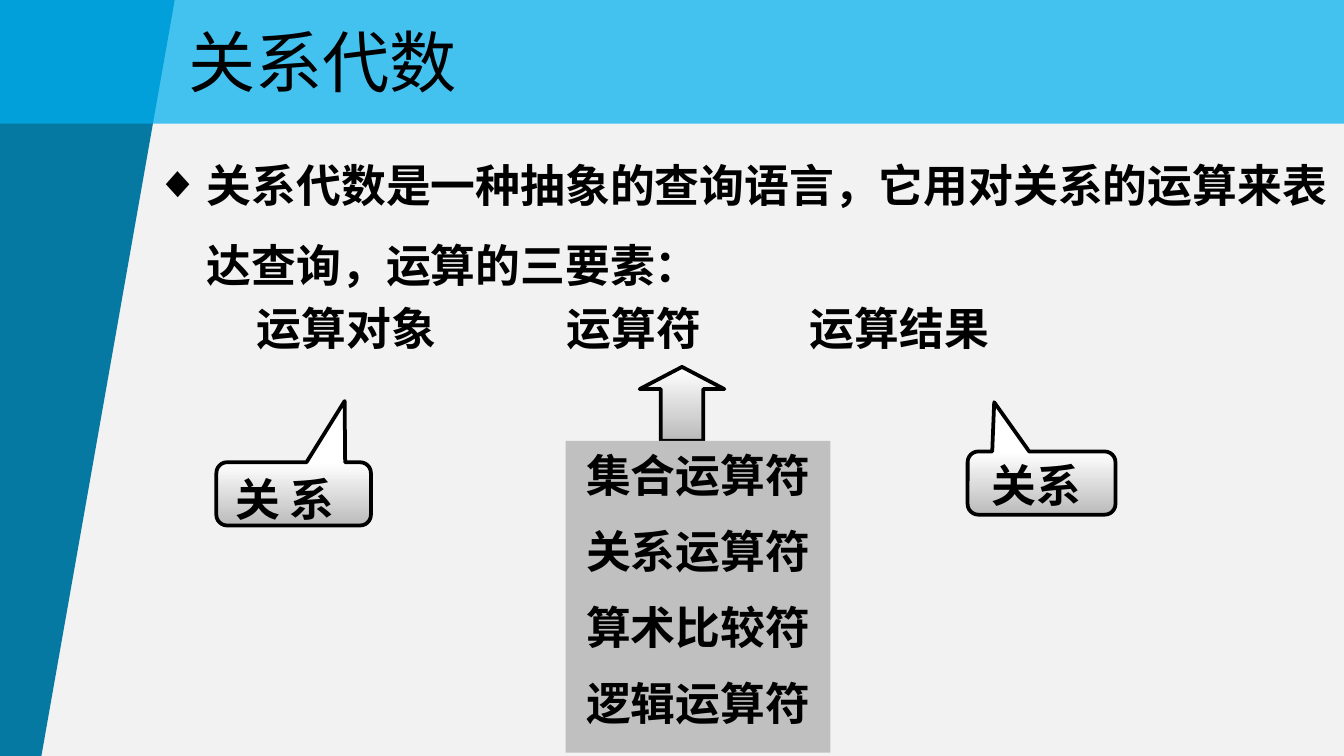
from dataclasses import dataclass

from lxml import etree
from pptx import Presentation
from pptx import util as u
from pptx.dml.color import RGBColor
from pptx.enum import shapes, text
from pptx.oxml import ns

COLORS = {"bg": "F2F2F2", "side": "0679A3", "header": "00B0F0", "ink": "000000",
          "light": "FFFFFF", "shade": "BBBBBB", "panel": "C0C0C0"}
CJK = "Noto Sans CJK SC"
SERIF = "Times New Roman"
KIND = shapes.MSO_SHAPE


@dataclass
class Box:
    left: float
    top: float
    width: float
    height: float

    def lengths(self) -> list:
        return [u.Inches(v) for v in (self.left, self.top, self.width, self.height)]


@dataclass
class Symbol:
    kind: int
    box: Box
    adjustments: tuple


@dataclass
class Label:
    box: Box
    words: str


def rgb(name: str) -> RGBColor:
    return RGBColor.from_string(COLORS[name])


def child(parent, tag: str, **attrs):
    return etree.SubElement(parent, ns.qn(tag), **attrs)


def add_run(p, words: str, font: str, size: int = 24, bold: bool = True,
            tracking: float = 0) -> None:
    r = p.add_run()
    r.text = words
    r.font.name = font
    r.font.size = u.Pt(size)
    r.font.bold = bold
    r.font.color.rgb = rgb("ink")
    child(r.font._element, "a:ea", typeface=CJK)
    if tracking:
        r.font._element.set("spc", str(round(tracking * 100)))


def indent(p, left: float, first: float):
    pPr = p._p.get_or_add_pPr()
    pPr.set("marL", str(u.Inches(left)))
    pPr.set("indent", str(u.Inches(first)))
    return pPr


def place(sp, box: Box) -> None:
    sp.left, sp.top, sp.width, sp.height = box.lengths()


def flat(sp, color: str) -> None:
    sp.shadow.inherit = False
    sp.fill.solid()
    sp.fill.fore_color.rgb = rgb(color)
    sp.line.fill.background()


def add_symbol(s, symbol: Symbol) -> None:
    sp = s.shapes.add_shape(symbol.kind, *symbol.box.lengths())
    for i, value in enumerate(symbol.adjustments):
        sp.adjustments[i] = value
    sp.shadow.inherit = False
    sp.fill.gradient()
    sp.fill.gradient_angle = 270
    for stop, color, position in zip(sp.fill.gradient_stops, ("light", "shade"), (0, 1)):
        stop.color.rgb = rgb(color)
        stop.position = position
    sp.line.color.rgb = rgb("ink")
    sp.line.width = u.Pt(2)


def write_lines(tf, lines: list) -> None:
    tf.word_wrap = True
    tf.vertical_anchor = text.MSO_ANCHOR.TOP
    for i, words in enumerate(lines):
        p = tf.add_paragraph() if i else tf.paragraphs[0]
        p.alignment = text.PP_ALIGN.CENTER
        if i:
            p.space_before = u.Pt(12)
        add_run(p, words, SERIF)


def add_label(s, label: Label) -> None:
    sp = s.shapes.add_textbox(*label.box.lengths())
    write_lines(sp.text_frame, [label.words])


def add_backdrop(s) -> None:
    s.background.fill.solid()
    s.background.fill.fore_color.rgb = rgb("bg")
    fb = s.shapes.build_freeform(u.Inches(-0.01), u.Inches(5.66), scale=1.0)
    corners = [(0, -0.01), (1.3, 0), (0.3, 5.67)]
    fb.add_line_segments([(u.Inches(x), u.Inches(y)) for x, y in corners], close=True)
    side = fb.convert_to_shape()
    flat(side, "side")
    header = s.shapes.add_shape(KIND.RECTANGLE, *Box(-0.01, 0, 10.01, 0.92).lengths())
    flat(header, "header")
    child(header._element.spPr.find(".//" + ns.qn("a:srgbClr")), "a:alpha", val="72000")
    for i, sp in enumerate((side, header)):
        s.shapes._spTree.insert(2 + i, sp._element)


def fill_title(s) -> None:
    title = s.shapes.title
    place(title, Box(1.3, 0.22, 2.24, 0.46))
    tf = title.text_frame
    tf.auto_size = text.MSO_AUTO_SIZE.NONE
    tf.word_wrap = False
    tf.vertical_anchor = text.MSO_ANCHOR.MIDDLE
    p = tf.paragraphs[0]
    p.alignment = text.PP_ALIGN.LEFT
    add_run(p, "关系代数", "Arial", 36, False)


def fill_body(s) -> None:
    body = s.placeholders[1]
    place(body, Box(1.06, 0.92, 9, 1.89))
    tf = body.text_frame
    tf.auto_size = text.MSO_AUTO_SIZE.NONE

    p = tf.paragraphs[0]
    pPr = indent(p, 0.38, -0.38)
    child(pPr, "a:buFont", typeface="Arial")
    child(pPr, "a:buChar", char="◆")
    p.line_spacing = 1.5
    p.space_before = u.Pt(0)
    add_run(p, "关系代数是一种抽象的查询语言，它用对关系的运算来表达查询，运算的三要素：", CJK)

    p = tf.add_paragraph()
    child(indent(p, 0.75, 0), "a:buNone")
    p.line_spacing = 0.9
    p.space_before = u.Pt(8)
    add_run(p, "运算对象", "Arial")
    for tracking, words in ((64.5, "运算符"), (53, "运算结果")):
        add_run(p, " ", "Arial", tracking=tracking)
        add_run(p, words, "Arial")


def main() -> None:
    prs = Presentation()
    prs.slide_width = u.Inches(10)
    prs.slide_height = prs.slide_width * 9 // 16
    s = prs.slides.add_slide(prs.slide_layouts[1])
    add_backdrop(s)
    fill_title(s)
    fill_body(s)

    callout = KIND.ROUNDED_RECTANGULAR_CALLOUT
    for symbol in (
        Symbol(callout, Box(1.61, 3.44, 1.15, 0.47), (0.33, -1.47, 0.17)),
        Symbol(callout, Box(7.2, 3.36, 1.1, 0.47), (-0.32, -1.28, 0.17)),
        Symbol(KIND.UP_ARROW, Box(4.76, 2.73, 0.63, 0.55), (0.5, 0.3)),
    ):
        add_symbol(s, symbol)
    for label in (
        Label(Box(1.61, 3.46, 1.02, 0.5), "关 系"),
        Label(Box(7.2, 3.36, 1.02, 0.5), "关系"),
    ):
        add_label(s, label)

    panel = s.shapes.add_shape(KIND.RECTANGLE, *Box(4.21, 3.28, 1.97, 2.32).lengths())
    flat(panel, "panel")
    write_lines(panel.text_frame, ["集合运算符", "关系运算符", "算术比较符", "逻辑运算符"])
    prs.save("out.pptx")


if __name__ == "__main__":
    main()
